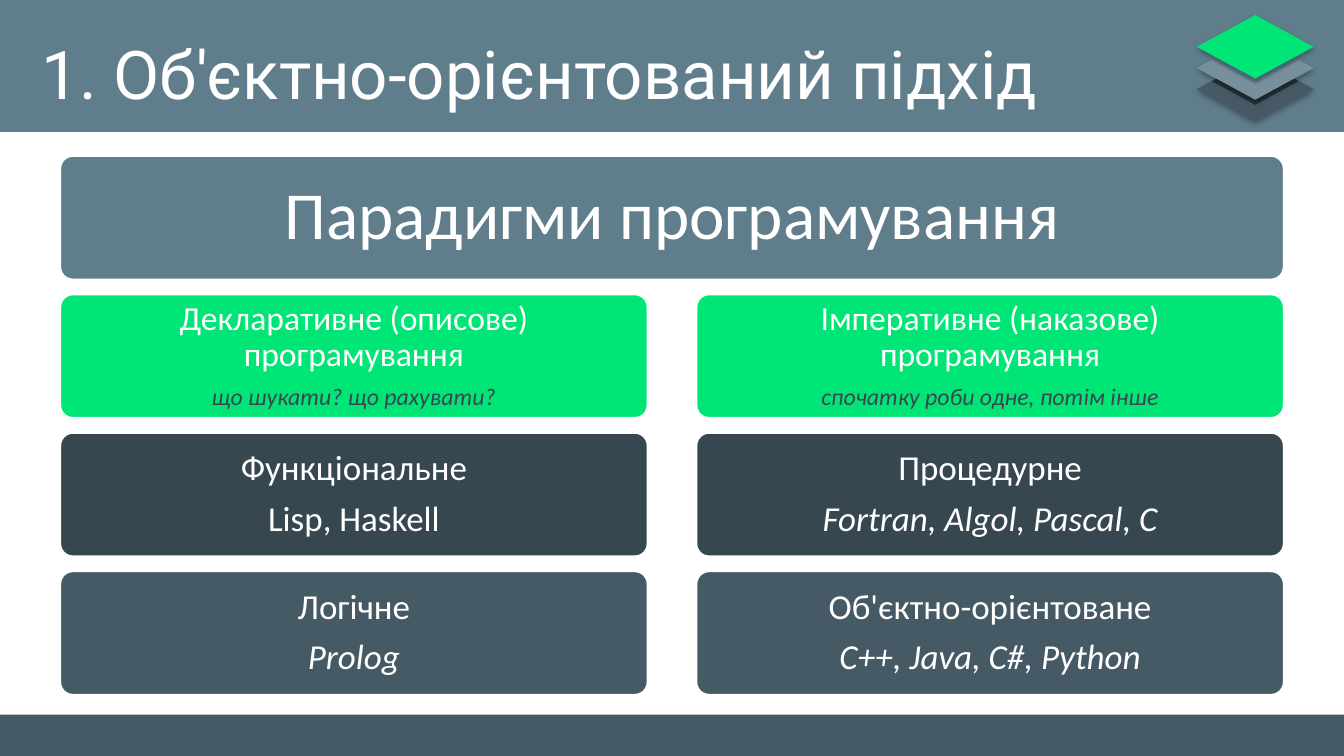
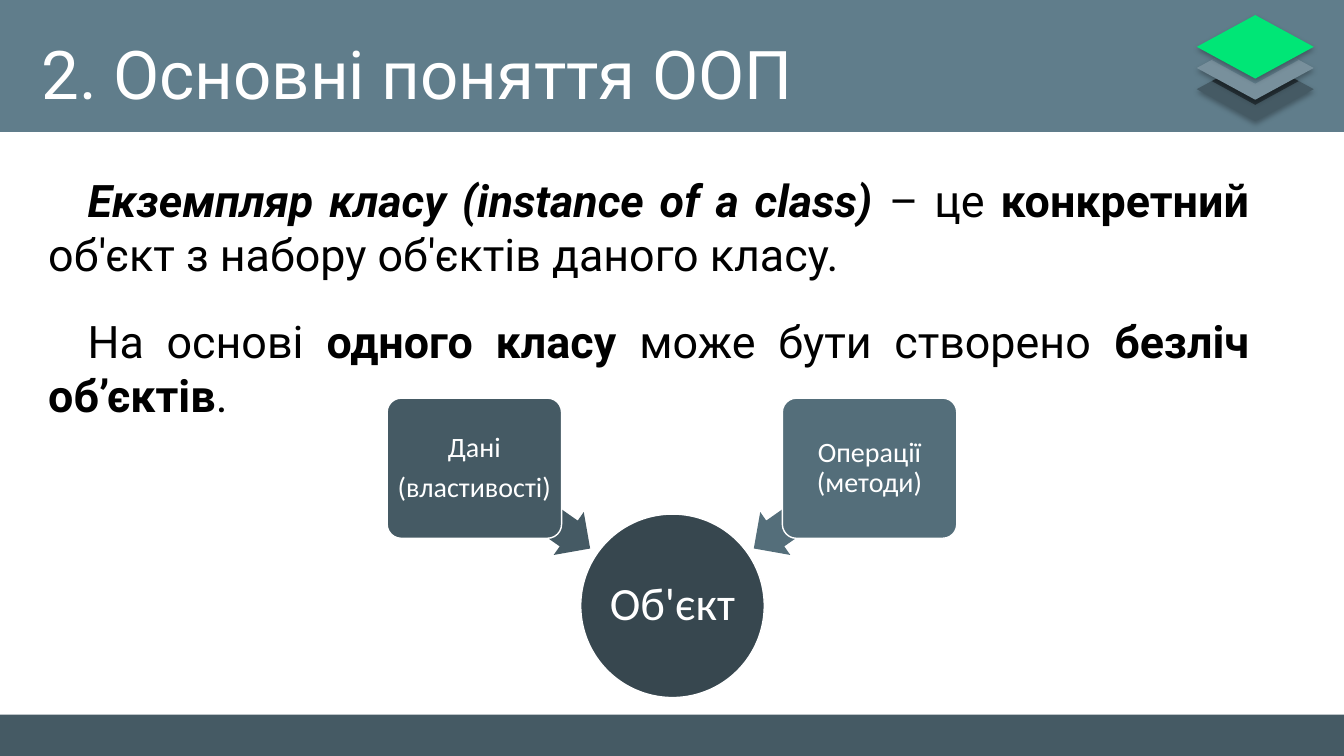
"""Build two Ukrainian slides on object-oriented programming."""
from lxml import etree
from pptx import Presentation
from pptx.dml.color import RGBColor
from pptx.enum.shapes import MSO_SHAPE, PP_PLACEHOLDER
from pptx.enum.text import MSO_ANCHOR, PP_ALIGN
from pptx.oxml.ns import qn
from pptx.util import Inches, Pt

RECTANGLE = MSO_SHAPE.RECTANGLE
ROUNDED = MSO_SHAPE.ROUNDED_RECTANGLE
DIAMOND = MSO_SHAPE.DIAMOND
OVAL = MSO_SHAPE.OVAL
LEFT_ARROW = MSO_SHAPE.LEFT_ARROW
LEFT, CENTER, JUSTIFY = PP_ALIGN.LEFT, PP_ALIGN.CENTER, PP_ALIGN.JUSTIFY
TOP, MIDDLE = MSO_ANCHOR.TOP, MSO_ANCHOR.MIDDLE
TITLE = PP_PLACEHOLDER.TITLE

WHITE, BLACK, GREEN = "FFFFFF", "000000", "00E676"
DARKEST, DARK, SLATE = "263238", "37474F", "455A64"
STEEL, BLUE_GREY, LIGHT = "546E7A", "607D8B", "78909C"
TITLE_FONT, DIAGRAM_FONT = "Roboto", "Calibri"
WIDTH, HEIGHT = 13.33, 7.5

BANDS = [(7.09, 0.41, SLATE), (0, 1.31, BLUE_GREY)]
LAYERS = [(SLATE, DARKEST), (LIGHT, BLUE_GREY), (GREEN, None)]
LAYER_BOTTOM, LAYER_STEP = 0.57, 0.21

PARADIGMS_TITLE = "1. Об'єктно-орієнтований підхід"
PARADIGMS_HEADING = "Парадигми програмування"
PARADIGMS = [
    [
        ("Декларативне (описове) програмування", "що шукати? що рахувати?", True),
        ("Функціональне", "Lisp, Haskell", False),
        ("Логічне", "Prolog", True),
    ],
    [
        ("Імперативне (наказове) програмування", "спочатку роби одне, потім інше", True),
        ("Процедурне", "Fortran, Algol, Pascal, C", True),
        ("Об'єктно-орієнтоване", "C++, Java, C#, Python", True),
    ],
]
ROW_STYLES = [(GREEN, 24, 17, DARK), (DARK, 25, 25, WHITE), (SLATE, 25, 25, WHITE)]
GRID_LEFT, GRID_TOP, GRID_WIDTH, GRID_BOTTOM = 0.6, 1.55, 12.13, 6.89
CELL_WIDTH, CELL_HEIGHT = 5.82, 1.22

CONCEPTS_TITLE = "2. Основні поняття OOП"
DEFINITIONS = [
    (6, [
        ("Екземпляр класу (instance of a class)", True, True),
        (" – це ", False, False),
        ("конкретний", True, False),
        (" об'єкт з набору об'єктів даного класу.", False, False),
    ]),
    (18, [
        ("На основі ", False, False),
        ("одного класу ", True, False),
        ("може бути створено ", False, False),
        ("безліч об’єктів", True, False),
        (".", False, False),
    ]),
]
OBJECT_NAME = "Об'єкт"
OBJECT_PARTS = [
    (3.84, 4.58, 215, SLATE, ["Дані", "(властивості)"]),
    (7.76, 7.35, 325, STEEL, ["Операції (методи)"]),
]


def color(value):
    """Turn a hex string into a colour."""
    return RGBColor.from_string(value)


def add_box(slide, kind, box, fill, line=None):
    """Add a flat filled preset shape at a box given in inches."""
    shape = slide.shapes.add_shape(kind, *map(Inches, box))
    shape.shadow.inherit = False
    shape.fill.solid()
    shape.fill.fore_color.rgb = color(fill)
    if line:
        shape.line.color.rgb = color(line)
        shape.line.width = Pt(1)
    else:
        shape.line.fill.background()
    return shape


def format_font(font, name, size, value, italic=None):
    """Set family, size, colour and slant."""
    font.name, font.size, font.italic = name, Pt(size), italic
    font.color.rgb = color(value)


def fill_text(shape, lines, inset):
    """Write centred lines of (text, size, colour, italic)."""
    frame = shape.text_frame
    frame.word_wrap = True
    frame.vertical_anchor = MIDDLE
    frame.margin_left = frame.margin_right = Inches(inset)
    frame.margin_top = frame.margin_bottom = Inches(inset)
    frame.text = "\n".join(line[0] for line in lines)
    for paragraph, (_, size, value, italic) in zip(frame.paragraphs, lines):
        paragraph.alignment = CENTER
        paragraph.line_spacing = 0.9
        paragraph.space_after = Pt(round(size * 0.35))
        format_font(paragraph.font, DIAGRAM_FONT, size, value, italic)


def add_card(slide, box, fill, lines, inset):
    """Add a rounded card with white outline and centred text."""
    card = add_box(slide, ROUNDED, box, fill, WHITE)
    card.adjustments[0] = 0.1
    fill_text(card, lines, inset)


def add_soft_shadow(shape):
    """Cast a soft shadow straight down."""
    effects = shape.element.spPr.find(qn("a:effectLst"))
    shadow = etree.SubElement(effects, qn("a:outerShdw"), blurRad=str(Pt(4)),
                              dist=str(Pt(2)), dir="5400000", rotWithShape="0")
    black = etree.SubElement(shadow, qn("a:srgbClr"), val=BLACK)
    etree.SubElement(black, qn("a:alpha"), val="30000")


def decorate_layout(layout, slide):
    """Draw bands and stacked layers, then hand them to the layout."""
    for placeholder in list(layout.placeholders):
        if placeholder.placeholder_format.type != TITLE:
            layout.shapes.element.remove(placeholder.element)
    decorations = [add_box(slide, RECTANGLE, (0, top, WIDTH, height), fill)
                   for top, height, fill in BANDS]
    for index, (fill, core) in enumerate(LAYERS):
        top = LAYER_BOTTOM - index * LAYER_STEP
        layer = add_box(slide, DIAMOND, (11.87, top, 1.16, 0.63), fill)
        add_soft_shadow(layer)
        decorations.append(layer)
        if core:
            decorations.append(add_box(slide, DIAMOND, (12.02, top, 0.86, 0.47), core))
    for position, shape in enumerate(decorations, start=2):
        layout.shapes.element.insert(position, shape.element)


def add_titled_slide(presentation, layout, text):
    """Add a slide with its title in the top band."""
    slide = presentation.slides.add_slide(layout)
    title = slide.shapes.title
    title.left, title.top = Inches(0.31), Inches(0.27)
    title.width, title.height = Inches(11.49), Inches(0.85)
    frame = title.text_frame
    frame.text = text
    frame.vertical_anchor = TOP
    paragraph = frame.paragraphs[0]
    paragraph.alignment = LEFT
    format_font(paragraph.font, TITLE_FONT, 48, WHITE)
    return slide


def add_paradigms(slide):
    """Lay out the heading and the two columns of paradigms."""
    add_card(slide, (GRID_LEFT, GRID_TOP, GRID_WIDTH, CELL_HEIGHT), BLUE_GREY,
             [(PARADIGMS_HEADING, 48, WHITE, False)], 0.23)
    column_step = GRID_WIDTH - CELL_WIDTH
    row_step = (GRID_BOTTOM - CELL_HEIGHT - GRID_TOP) / len(ROW_STYLES)
    for column, cells in enumerate(PARADIGMS):
        left = GRID_LEFT + column * column_step
        for row, (cell, style) in enumerate(zip(cells, ROW_STYLES), start=1):
            name, detail, italic = cell
            fill, name_size, detail_size, detail_color = style
            add_card(slide, (left, GRID_TOP + row * row_step, CELL_WIDTH, CELL_HEIGHT), fill,
                     [(name, name_size, WHITE, False),
                      (detail, detail_size, detail_color, italic)], 0.13)


def add_definitions(slide):
    """Write the justified definitions."""
    box = slide.shapes.add_textbox(*map(Inches, (0.38, 1.34, 12.11, 3.21)))
    frame = box.text_frame
    frame.word_wrap = True
    frame.vertical_anchor = MIDDLE
    for index, (space_before, runs) in enumerate(DEFINITIONS):
        paragraph = frame.add_paragraph() if index else frame.paragraphs[0]
        paragraph.alignment = JUSTIFY
        paragraph.space_before, paragraph.space_after = Pt(space_before), Pt(6)
        format_font(paragraph.font, TITLE_FONT, 32, BLACK)
        paragraph._p.get_or_add_pPr().set("indent", str(Inches(0.39)))
        for text, bold, italic in runs:
            run = paragraph.add_run()
            run.text = text
            run.font.bold, run.font.italic = bold, italic


def add_object_diagram(slide):
    """Draw the object and the two parts pointing at it."""
    circle = add_box(slide, OVAL, (5.76, 5.1, 1.82, 1.82), DARK, WHITE)
    fill_text(circle, [(OBJECT_NAME, 33, WHITE, False)], 0.02)
    for card_left, arrow_left, angle, fill, lines in OBJECT_PARTS:
        arrow = add_box(slide, LEFT_ARROW, (arrow_left, 4.78, 1.4, 0.52), fill)
        arrow.adjustments[0], arrow.adjustments[1] = 0.6, 0.5
        arrow.rotation = angle
        add_card(slide, (card_left, 3.95, 1.73, 1.39), fill,
                 [(line, 20, WHITE, False) for line in lines], 0.03)


def main():
    """Build and save the presentation."""
    presentation = Presentation()
    presentation.slide_width, presentation.slide_height = Inches(WIDTH), Inches(HEIGHT)
    layout = presentation.slide_layouts.get_by_name("Title Only")
    paradigms = add_titled_slide(presentation, layout, PARADIGMS_TITLE)
    decorate_layout(layout, paradigms)
    add_paradigms(paradigms)
    concepts = add_titled_slide(presentation, layout, CONCEPTS_TITLE)
    add_definitions(concepts)
    add_object_diagram(concepts)
    presentation.save("out.pptx")


if __name__ == "__main__":
    main()
